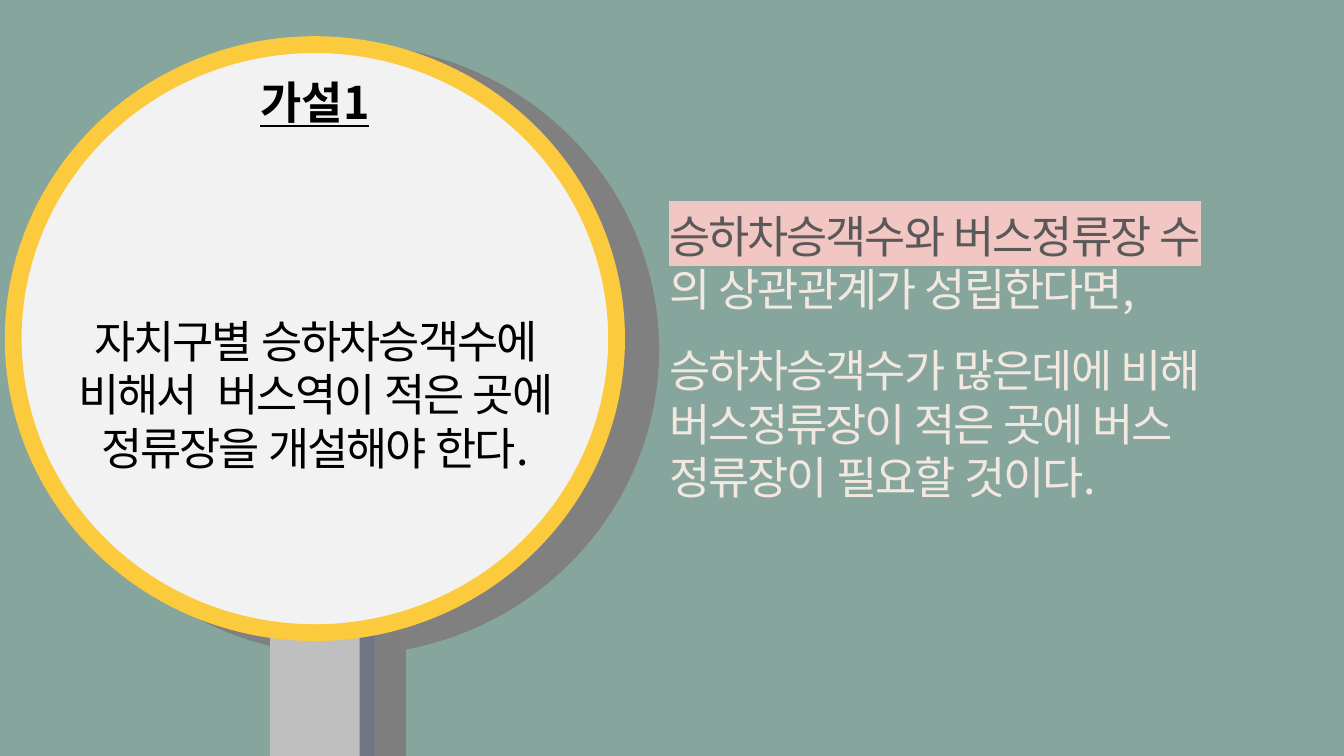
from lxml.etree import SubElement
from pptx import Presentation
from pptx.dml.color import RGBColor
from pptx.enum.lang import MSO_LANGUAGE_ID as Language
from pptx.enum.shapes import MSO_SHAPE as Preset
from pptx.enum.text import MSO_ANCHOR as Anchor, MSO_AUTO_SIZE as AutoSize, PP_ALIGN as Align
from pptx.oxml.ns import qn
from pptx.util import Pt


def colour(value):
    return RGBColor.from_string(value)


class SignPage:
    """Draws the elements of one slide in a shared style."""

    font_name = "Noto Sans CJK KR"
    font_size = 32
    line_height = 38.2

    def __init__(self, deck, background):
        self.page = deck.slides.add_slide(deck.slide_layouts[5])
        fill = self.page.background.fill
        fill.solid()
        fill.fore_color.rgb = colour(background)

    def shape(self, preset, left, top, width, height, fill, line=None, line_width=0):
        shape = self.page.shapes.add_shape(preset, Pt(left), Pt(top), Pt(width), Pt(height))
        shape.shadow.inherit = False
        shape.fill.solid()
        shape.fill.fore_color.rgb = colour(fill)
        if line:
            shape.line.color.rgb = colour(line)
            shape.line.width = Pt(line_width)
        else:
            shape.line.fill.background()

    def frame(self, box, left, top, width, height):
        box.left, box.top, box.width, box.height = Pt(left), Pt(top), Pt(width), Pt(height)
        frame = box.text_frame
        frame.word_wrap = True
        frame.auto_size = AutoSize.NONE
        frame.vertical_anchor = Anchor.TOP
        frame.margin_top = frame.margin_bottom = 0
        frame.margin_left = frame.margin_right = Pt(7.2)
        return frame

    def span(self, para, text, fill, spacing=-1.5, highlight=None, heading=False):
        span = para.add_run()
        span.text = text
        font = span.font
        font.size = Pt(self.font_size)
        font.bold = font.underline = heading
        font.language_id = Language.KOREAN
        font.color.rgb = colour(fill)
        properties = span._r.get_or_add_rPr()
        properties.set("spc", str(round(spacing * 100)))
        if highlight:
            mark = SubElement(properties, qn("a:highlight"))
            SubElement(mark, qn("a:srgbClr")).set("val", highlight)
        font.name = self.font_name
        SubElement(properties, qn("a:ea")).set("typeface", self.font_name)
        if highlight:
            properties.find(qn("a:latin")).addprevious(mark)

    def para(self, frame, first, align, before=0):
        para = frame.paragraphs[0] if first else frame.add_paragraph()
        para.alignment = align
        para.line_spacing = Pt(self.line_height)
        para.space_before = Pt(before)
        para.space_after = Pt(0)
        return para

    def title(self, text, place):
        box = self.page.shapes.title
        self.page.shapes._spTree.append(box._element)
        para = self.para(self.frame(box, *place), True, Align.CENTER)
        self.span(para, text, "000000", spacing=0, heading=True)

    def text(self, paragraphs, place, align):
        box = self.page.shapes.add_textbox(0, 0, 0, 0)
        frame = self.frame(box, *place)
        for index, (text, fill, highlight, before) in enumerate(paragraphs):
            para = self.para(frame, index == 0, align, before)
            self.span(para, text, fill, highlight=highlight)


def main():
    deck = Presentation()
    deck.slide_width, deck.slide_height = Pt(960), Pt(540)
    sign = SignPage(deck, "86A69D")

    sign.shape(Preset.OVAL, 23.8, 31.7, 447, 436.3, "808080")
    post_top = 452
    for left, width, fill in ((226, 64, "7F7F7F"), (235.5, 32, "717684"), (193, 64, "BFBFBF")):
        sign.shape(Preset.RECTANGLE, left, post_top, width, 540 - post_top, fill)
    sign.shape(Preset.OVAL, 9.4, 31.9, 431, 420, "F2F2F2", "FCCA3D", 12)

    sign.title("가설1", (18.7, 53.5, 412.6, 42))
    sign.text(
        [("자치구별 승하차승객수에 비해서  버스역이 적은 곳에 정류장을 개설해야 한다.", "000000", None, 0)],
        (18.7, 224, 412.6, 118), Align.CENTER)
    sign.text(
        [("승하차승객수와 버스정류장 수", "595959", "F2C6C2", 0),
         ("의 상관관계가 성립한다면,", "F2E8DF", None, 0),
         ("승하차승객수가 많은데에 비해 버스정류장이 적은 곳에 버스 정류장이 필요할 것이다.",
          "F2E8DF", None, 19.8)],
        (470.9, 149, 480.2, 220), Align.LEFT)
    deck.save("out.pptx")


if __name__ == "__main__":
    main()
